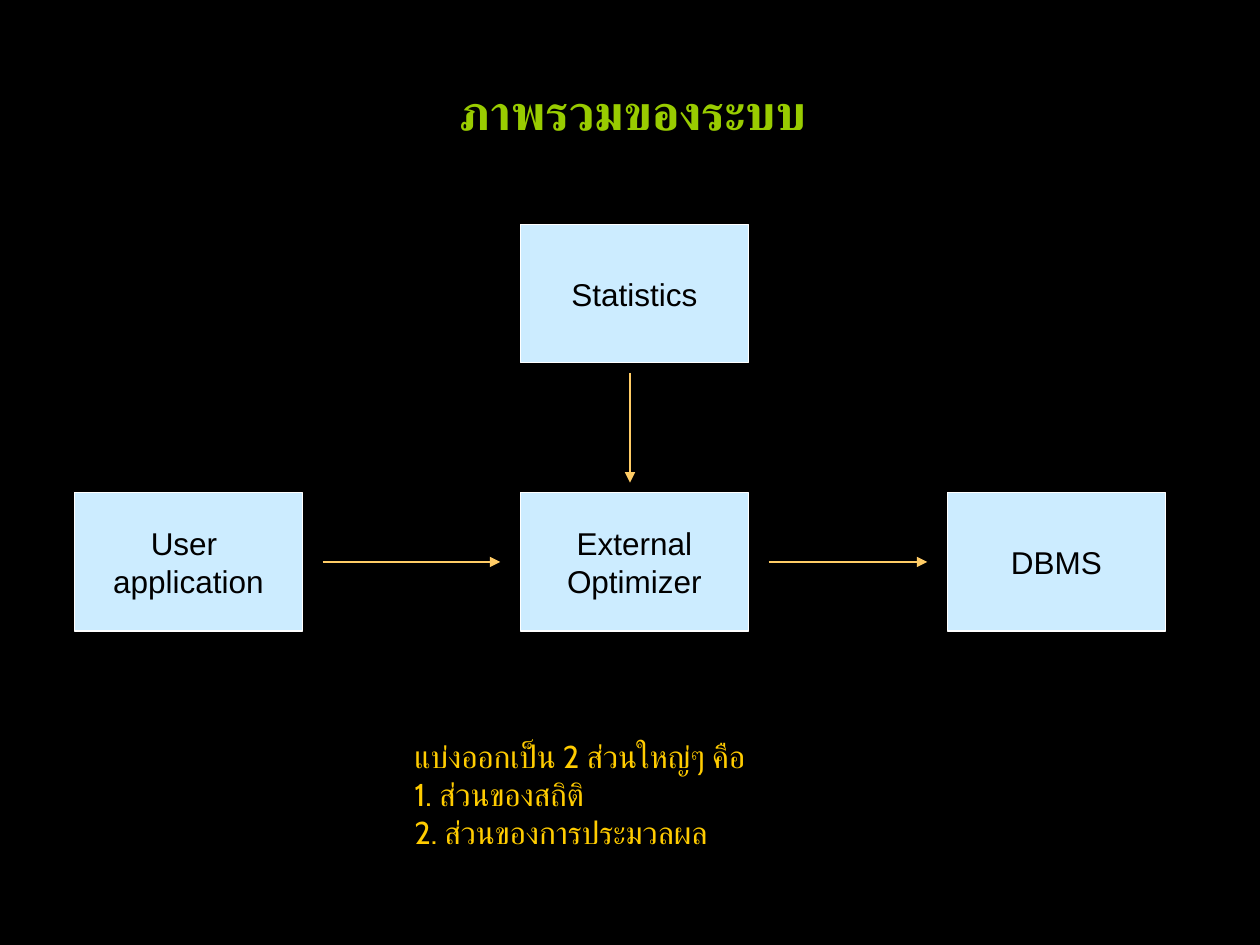
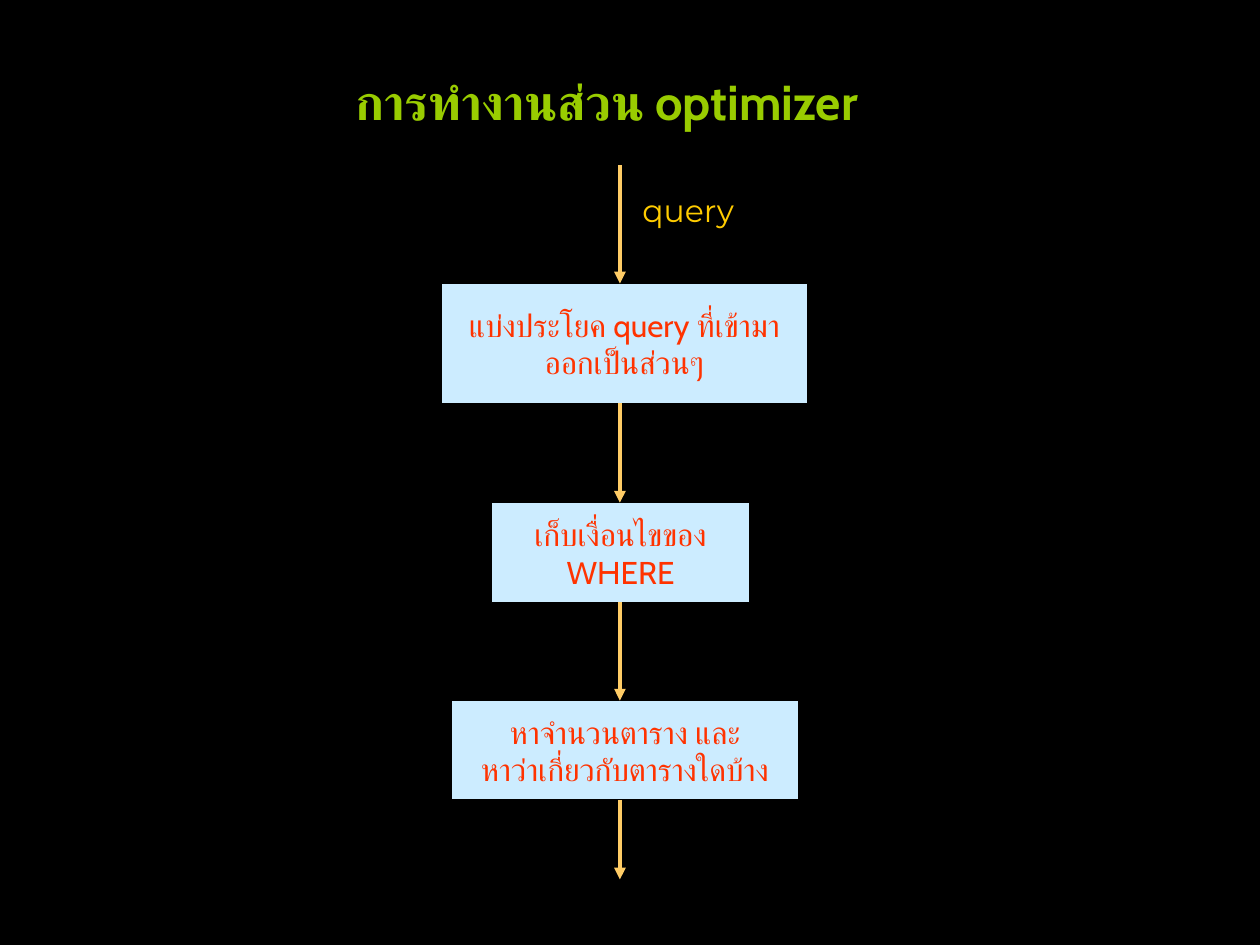
from dataclasses import dataclass

from lxml.etree import SubElement
from pptx import Presentation
from pptx.dml.color import RGBColor
from pptx.enum.shapes import MSO_CONNECTOR, MSO_SHAPE
from pptx.enum.text import MSO_ANCHOR, PP_ALIGN
from pptx.oxml.ns import qn
from pptx.util import Inches, Pt

# Shared look
BLACK = "000000"
WHITE = "FFFFFF"
GREEN = "99CC00"
YELLOW = "FFCC00"
AMBER = "FFCC66"
RED = "FF3300"
PALE = "CCECFF"
FONT = "Cabin"


@dataclass
class Box:
    left: float
    top: float
    width: float
    height: float
    text: str


@dataclass
class Arrow:
    x1: float
    y1: float
    x2: float
    y2: float


def rgb(color: str) -> RGBColor:
    return RGBColor.from_string(color)


def write(frame, text: str, *, size: float = 18, font: str = FONT,
          color: str = YELLOW, bold: bool = False, align=PP_ALIGN.LEFT,
          wrap: bool = True, anchor=MSO_ANCHOR.TOP) -> None:
    """Fill a text frame, one paragraph for each line."""
    frame.word_wrap = wrap
    frame.vertical_anchor = anchor
    for i, line in enumerate(text.split("\n")):
        para = frame.paragraphs[0] if i == 0 else frame.add_paragraph()
        para.alignment = align
        run = para.add_run()
        run.text = line
        run.font.size = Pt(size)
        run.font.bold = bold
        run.font.color.rgb = rgb(color)
        run.font.name = font
        # Thai letters take the complex-script font
        SubElement(run.font._element, qn("a:cs"), typeface=font)


def label(slide, box: Box, **style) -> None:
    area = slide.shapes.add_textbox(Inches(box.left), Inches(box.top),
                                    Inches(box.width), Inches(box.height))
    write(area.text_frame, box.text, **style)


def title(slide, box: Box, align=PP_ALIGN.LEFT) -> None:
    label(slide, box, size=28, color=GREEN, bold=True, align=align)


def block(slide, box: Box, edge: str, **style) -> None:
    rect = slide.shapes.add_shape(MSO_SHAPE.RECTANGLE, Inches(box.left),
                                  Inches(box.top), Inches(box.width),
                                  Inches(box.height))
    rect.shadow.inherit = False
    rect.fill.solid()
    rect.fill.fore_color.rgb = rgb(PALE)
    rect.line.color.rgb = rgb(edge)
    rect.line.width = Pt(0.75)
    write(rect.text_frame, box.text, align=PP_ALIGN.CENTER, wrap=False,
          anchor=MSO_ANCHOR.MIDDLE, **style)


def draw(slide, arrow: Arrow, weight: float) -> None:
    link = slide.shapes.add_connector(
        MSO_CONNECTOR.STRAIGHT, Inches(arrow.x1), Inches(arrow.y1),
        Inches(arrow.x2), Inches(arrow.y2))
    link.line.color.rgb = rgb(AMBER)
    link.line.width = Pt(weight)
    SubElement(link.line._get_or_add_ln(), qn("a:tailEnd"), type="triangle")
    SubElement(link._element.spPr, qn("a:effectLst"))


def page(deck):
    slide = deck.slides.add_slide(deck.slide_layouts[6])
    slide.background.fill.solid()
    slide.background.fill.fore_color.rgb = rgb(BLACK)
    return slide


def system(deck) -> None:
    """Overview of the parts of the system."""
    slide = page(deck)
    title(slide, Box(2.56, 0.6, 4.92, 0.57, "ภาพรวมของระบบ"),
          PP_ALIGN.CENTER)

    # Parts
    wide, high, row, mid = 1.81, 1.1, 3.91, 4.13
    parts = [
        Box(mid, 1.78, wide, high, "Statistics"),
        Box(0.59, row, wide, high, "User \napplication"),
        Box(mid, row, wide, high, "External\nOptimizer"),
        Box(7.52, row, 1.73, high, "DBMS"),
    ]
    for part in parts:
        block(slide, part, WHITE, font="Arial", color=BLACK)

    # Links: a gap is left at both ends
    axis, gap = row + high / 2, 0.16
    stats, user, core, store = parts
    draw(slide, Arrow(5, 2.96, 5, 3.83), 0.75)
    for a, b in ((user, core), (core, store)):
        draw(slide, Arrow(a.left + a.width + gap, axis,
                          b.left - gap, axis), 0.75)

    # Summary
    label(slide, Box(3.19, 5.8, 4.04, 1,
                     "แบ่งออกเป็น 2 ส่วนใหญ่ๆ คือ\n"
                     "1. ส่วนของสถิติ\n"
                     "2. ส่วนของการประมวลผล"))


def steps(deck) -> None:
    """Flow of a query through the optimizer."""
    slide = page(deck)
    title(slide, Box(2.72, 0.52, 4.8, 0.57, "การทำงานส่วน optimizer"))

    # Steps, with an arrow into each one and one out of the last
    axis, start, end = 4.92, 1.31, 6.98
    flow = [
        Box(3.5, 2.25, 2.91, 0.95,
            "แบ่งประโยค query ที่เข้ามา\nออกเป็นส่วนๆ"),
        Box(3.9, 3.99, 2.05, 0.79, "เก็บเงื่อนไขของ\nWHERE"),
        Box(3.58, 5.56, 2.76, 0.79,
            "หาจำนวนตาราง และ\nหาว่าเกี่ยวกับตารางใดบ้าง"),
    ]
    for step in flow:
        block(slide, step, BLACK, color=RED)
        draw(slide, Arrow(axis, start, axis, step.top), 2.25)
        start = step.top + step.height
    draw(slide, Arrow(axis, start, axis, end), 2.25)

    label(slide, Box(5, 1.47, 1.02, 0.4, "query"), font="Montserrat")


def main() -> None:
    deck = Presentation()
    deck.slide_width = Inches(10)
    deck.slide_height = Inches(7.5)
    system(deck)
    steps(deck)
    deck.save("out.pptx")


if __name__ == "__main__":
    main()
